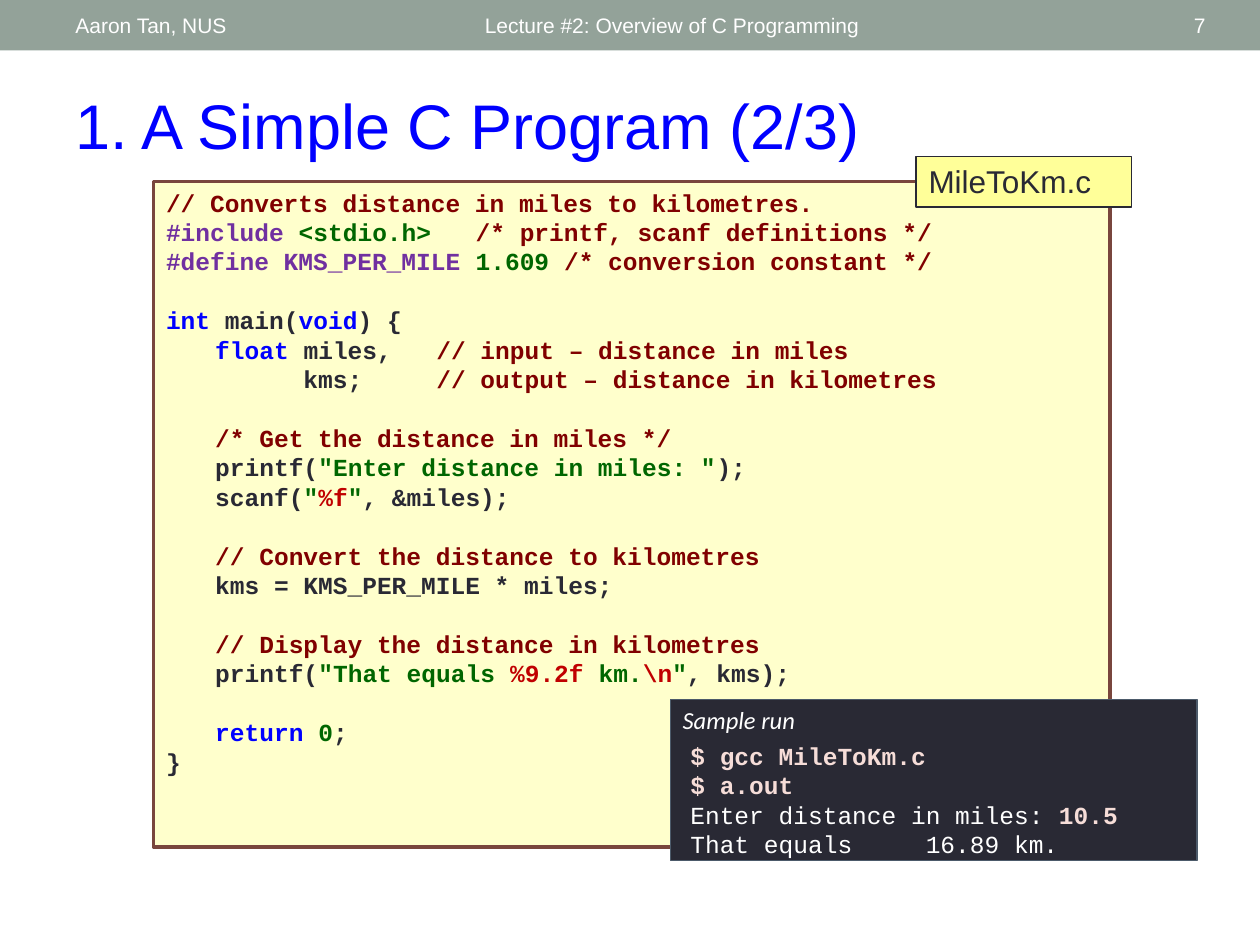
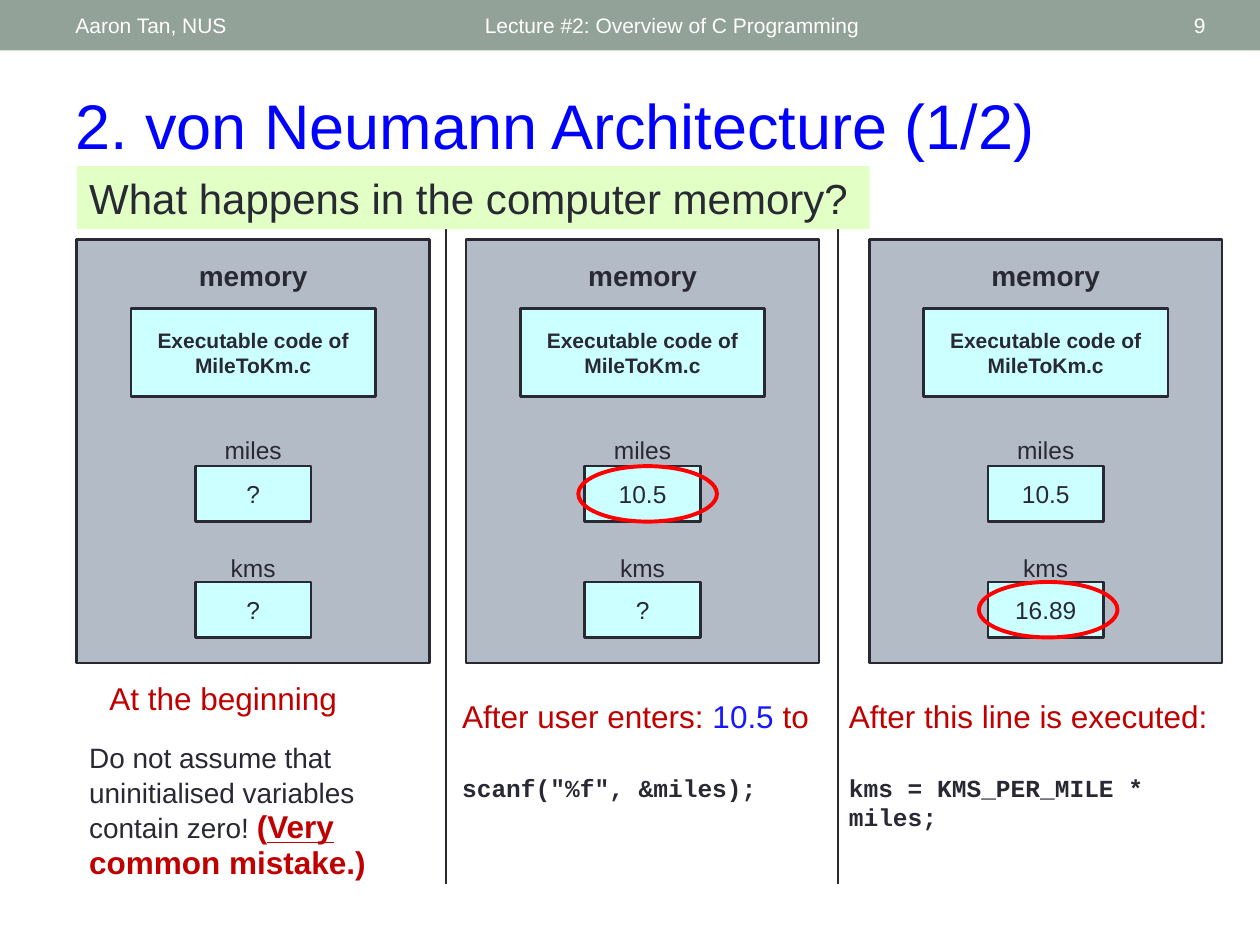
from dataclasses import dataclass, replace
from lxml.etree import SubElement
from pptx import Presentation
from pptx.dml.color import RGBColor
from pptx.enum.shapes import MSO_CONNECTOR, MSO_SHAPE
from pptx.enum.text import MSO_ANCHOR, PP_ALIGN
from pptx.oxml.ns import qn
from pptx.util import Pt

WHITE = RGBColor(0xFF, 0xFF, 0xFF)
INK = RGBColor(0x29, 0x29, 0x34)
SAGE = RGBColor(0x93, 0xA2, 0x99)
BLUE = RGBColor(0x00, 0x00, 0xFF)
AZURE = RGBColor(0x18, 0x18, 0xFF)
MAROON = RGBColor(0x80, 0x00, 0x00)
PURPLE = RGBColor(0x70, 0x30, 0xA0)
GREEN = RGBColor(0x00, 0x66, 0x00)
CRIMSON = RGBColor(0xC0, 0x00, 0x00)
RED = RGBColor(0xFF, 0x00, 0x00)
CREAM = RGBColor(0xFF, 0xFF, 0xCC)
YELLOW = RGBColor(0xFF, 0xFF, 0x99)
BROWN = RGBColor(0x79, 0x46, 0x3D)
SLATE = RGBColor(0x4C, 0x5A, 0x6A)
PINK = RGBColor(0xF6, 0xDD, 0xD8)
STEEL = RGBColor(0xB3, 0xBB, 0xC6)
AQUA = RGBColor(0xCC, 0xFF, 0xFF)
LIME = RGBColor(0xE2, 0xFF, 0xC5)

LEAD = 1.2
TAB = 28.08


@dataclass(frozen=True)
class Style:
    size: float
    color: RGBColor = INK
    face: str = "Arial"
    bold: bool = False
    italic: bool = False
    under: bool = False


HEAD = Style(12, WHITE)
TITLE = Style(36, BLUE)
LABEL = Style(14)
NOTE = Style(18, CRIMSON)
ALERT = replace(NOTE, bold=True)
CODE = Style(14, INK, "Courier New", bold=True)
TYPED = replace(CODE, color=PINK)
SHELL = replace(CODE, color=WHITE, bold=False)

PROGRAM = [
    [("// Converts distance in miles to kilometres.", MAROON)],
    [("#include ", PURPLE), ("<stdio.h>   ", GREEN),
     ("/* printf, scanf definitions */", MAROON)],
    [("#define KMS_PER_MILE ", PURPLE), ("1.609 ", GREEN),
     ("/* conversion constant */", MAROON)],
    [],
    [("int", BLUE), (" main(", INK), ("void", BLUE), (") {", INK)],
    [("\tfloat", BLUE), (" miles,   ", INK),
     ("// input – distance in miles", MAROON)],
    [("\t      kms;     ", INK),
     ("// output – distance in kilometres", MAROON)],
    [],
    [("\t/* Get the distance in miles */", MAROON)],
    [("\tprintf(", INK), ('"Enter distance in miles: "', GREEN), (");", INK)],
    [("\tscanf(", INK), ('"', GREEN), ("%f", CRIMSON), ('"', GREEN),
     (", &miles);", INK)],
    [],
    [("\t// Convert the distance to kilometres", MAROON)],
    [("\tkms = KMS_PER_MILE * miles;", INK)],
    [],
    [("\t// Display the distance in kilometres", MAROON)],
    [("\tprintf(", INK), ('"That equals ', GREEN), ("%9.2f ", CRIMSON),
     ("km.", GREEN), ("\\n", CRIMSON), ('"', GREEN), (", kms);", INK)],
    [],
    [("\treturn ", BLUE), ("0", GREEN), (";", INK)],
    [("}", INK)],
]


def add_run(para, text, style):
    run = para.add_run()
    run.text = text
    font = run.font
    font.name = style.face
    font.size = Pt(style.size)
    font.color.rgb = style.color
    font.bold = style.bold
    font.italic = style.italic
    font.underline = style.under


def add_tab(para):
    tabs = SubElement(para._p.get_or_add_pPr(), qn("a:tabLst"))
    SubElement(tabs, qn("a:tab"), pos=str(Pt(TAB)), algn="l")


def write(shape, lines, align=PP_ALIGN.LEFT, anchor=MSO_ANCHOR.TOP, gaps=None):
    frame = shape.text_frame
    frame.word_wrap = True
    frame.vertical_anchor = anchor
    for row, runs in enumerate(lines):
        para = frame.add_paragraph() if row else frame.paragraphs[0]
        if any("\t" in text for text, _ in runs):
            add_tab(para)
        sizes = [style.size for _, style in runs]
        para.alignment = align
        para.line_spacing = Pt(LEAD * (min(sizes) + max(sizes)) / 2)
        if gaps and row in gaps:
            para.space_before = Pt(gaps[row])
        for text, style in runs:
            add_run(para, text, style)


def add_text(slide, area, lines, **look):
    box = slide.shapes.add_textbox(*map(Pt, area))
    write(box, lines, **look)


def add_box(slide, area, fill=None, line=None, width=1.5, lines=(),
            kind=MSO_SHAPE.RECTANGLE, **look):
    shape = slide.shapes.add_shape(kind, *map(Pt, area))
    shape.shadow.inherit = False
    if fill is None:
        shape.fill.background()
    else:
        shape.fill.solid()
        shape.fill.fore_color.rgb = fill
    if line is None:
        shape.line.fill.background()
    else:
        shape.line.color.rgb = line
        shape.line.width = Pt(width)
    write(shape, lines, **look)


def add_rule(slide, x, top, end):
    rule = slide.shapes.add_connector(
        MSO_CONNECTOR.STRAIGHT, Pt(x), Pt(top), Pt(x), Pt(end))
    rule.line.color.rgb = INK
    rule.line.width = Pt(1)
    SubElement(rule._element.spPr, qn("a:effectLst"))


def add_slide(deck, title, number):
    slide = deck.slides.add_slide(deck.slide_layouts[6])
    add_box(slide, (0, 0, 720, 28.8), SAGE)
    for left, width, text, align in (
            (270, 324, "Lecture #2: Overview of C Programming", PP_ALIGN.LEFT),
            (36, 228, "Aaron Tan, NUS", PP_ALIGN.LEFT),
            (628, 68, number, PP_ALIGN.RIGHT)):
        add_text(slide, (left, 1.5, width, 26), [[(text, HEAD)]],
                 align=align, anchor=MSO_ANCHOR.MIDDLE)
    add_text(slide, (36, 46, 648, 51), [[(title, TITLE)]])
    return slide


def add_code(slide, area):
    lines, gaps = [], {}
    for parts in PROGRAM:
        if parts:
            lines.append([(text, replace(CODE, color=color))
                          for text, color in parts])
        else:
            gaps[len(lines)] = LEAD * CODE.size
    add_box(slide, area, CREAM, BROWN, 2.08, lines, gaps=gaps)


def add_panel(slide, left, miles, kms):
    mid = left + 100.8

    def area(top, width, height):
        return mid - width / 2, top, width, height

    add_box(slide, area(136.8, 201.6, 242), STEEL, INK)
    add_text(slide, area(144, 100, 27),
             [[("memory", Style(16, bold=True))]], align=PP_ALIGN.CENTER)
    cells = (
        (176.4, 139.7, 50.4, "Executable code of MileToKm.c",
         Style(12, bold=True)),
        (266.4, 66.2, 31.7, miles, LABEL),
        (332.6, 66.2, 31.7, kms, LABEL),
    )
    for top, width, height, text, style in cells:
        add_box(slide, area(top, width, height), AQUA, INK,
                lines=[[(text, style)]], align=PP_ALIGN.CENTER,
                anchor=MSO_ANCHOR.MIDDLE)
    for top, name in ((244.8, "miles"), (312.5, "kms")):
        add_text(slide, area(top, 66, 24.5), [[(name, LABEL)]],
                 align=PP_ALIGN.CENTER)


def add_ring(slide, left, top):
    add_box(slide, (left, top, 79.2, 31.7), line=RED, width=2.25,
            kind=MSO_SHAPE.OVAL)


def build_program(deck):
    slide = add_slide(deck, "1. A Simple C Program (2/3)", "7")
    add_code(slide, (87.8, 103.7, 546.5, 380.2))
    add_box(slide, (523.5, 89.3, 123, 29), YELLOW, INK, 0.75,
            [[("MileToKm.c", Style(18))]])
    add_box(slide, (383, 399.6, 301, 92), INK, SLATE, 0.75,
            [[("Sample run", Style(14, WHITE, "Calibri", italic=True))]])
    add_text(slide, (387.4, 419.8, 273, 74), [
        [("$ gcc MileToKm.c", TYPED)],
        [("$ a.out", TYPED)],
        [("Enter distance in miles: ", SHELL), ("10.5", TYPED)],
        [("That equals     16.89 km.", SHELL)],
    ])


def build_memory(deck):
    slide = add_slide(deck, "2. von Neumann Architecture (1/2)", "9")
    for left, miles, kms in ((43.9, "?", "?"), (266.4, "10.5", "?"),
                             (496.8, "10.5", "16.89")):
        add_panel(slide, left, miles, kms)
    add_text(slide, (55.4, 384.5, 165, 29), [[("At the beginning", NOTE)]])
    add_text(slide, (43.9, 418.3, 184.3, 90), [[
        ("Do not assume that uninitialised variables contain zero! ",
         Style(16)),
        ("(", ALERT),
        ("Very", replace(ALERT, under=True)),
        (" common mistake.)", ALERT),
    ]])
    add_text(slide, (257, 394.6, 226, 70), [
        [("After user enters: ", NOTE), ("10.5 ", Style(18, AZURE)),
         ("to", NOTE)],
        [('scanf("%f", &miles);', CODE)],
    ], gaps={1: 22})
    add_text(slide, (478, 394.6, 241, 68), [
        [("After this line is executed:", NOTE)],
        [("kms = KMS_PER_MILE * miles;", CODE)],
    ], gaps={1: 22})
    add_ring(slide, 330.5, 266.4)
    add_ring(slide, 559.4, 332.6)
    for x in (254.9, 478.8):
        add_rule(slide, x, 126.7, 505.4)
    add_box(slide, (43.9, 95, 453, 36), LIME,
            lines=[[("What happens in the computer memory?", Style(24))]])


def main():
    deck = Presentation()
    deck.slide_width = Pt(720)
    deck.slide_height = Pt(540)
    build_program(deck)
    build_memory(deck)
    deck.save("out.pptx")


if __name__ == "__main__":
    main()
